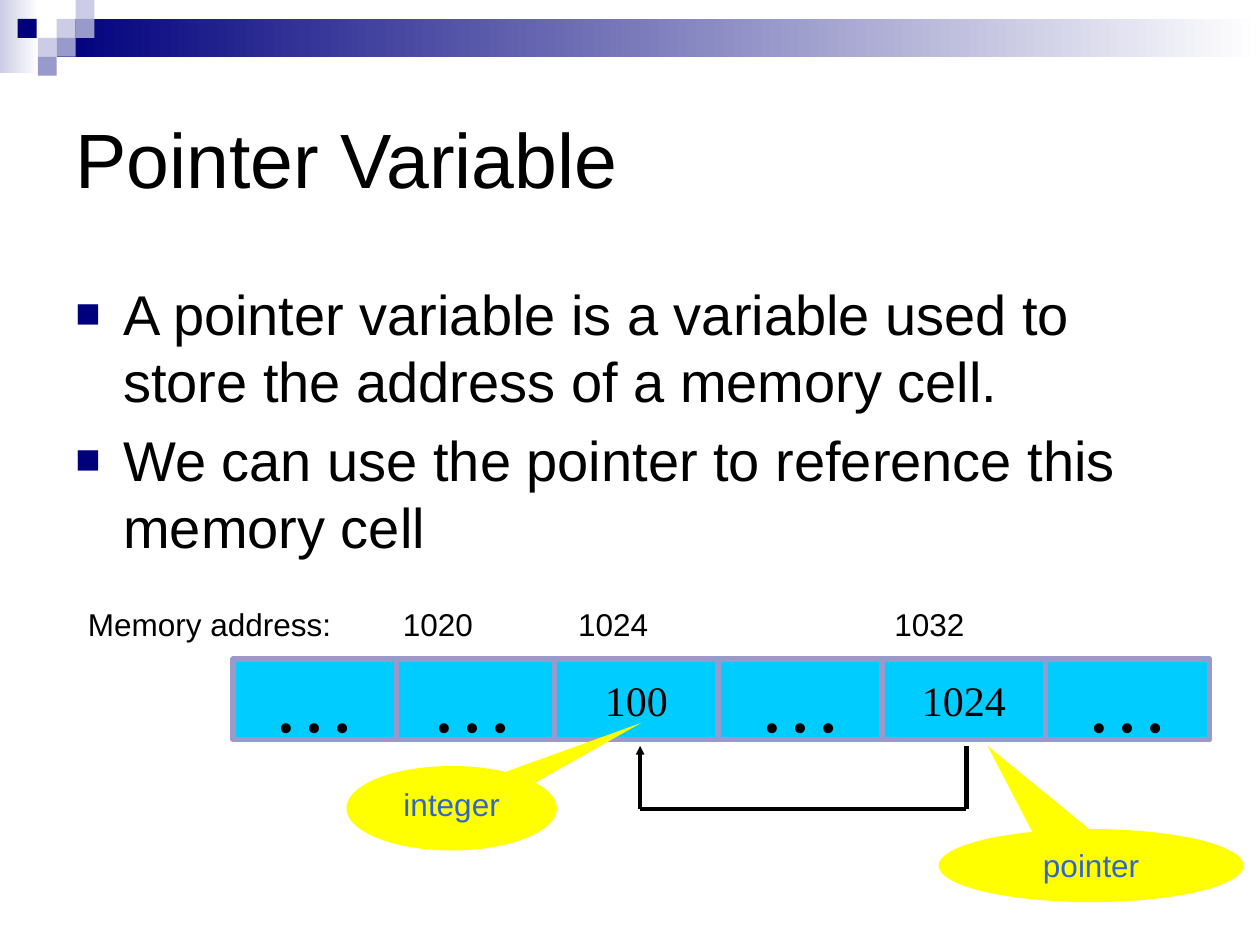
import pptx
import pptx.util
import pptx.dml.color
import pptx.enum.shapes
import pptx.enum.text
import pptx.oxml
import pptx.oxml.ns
from lxml import etree

Inches = pptx.util.Inches
Pt = pptx.util.Pt
SHAPES = pptx.enum.shapes.MSO_SHAPE
ANCHOR = pptx.enum.text.MSO_ANCHOR
ALIGN = pptx.enum.text.PP_ALIGN

COLORS = {
    "navy": "00007D",
    "lilac": "9999CC",
    "pale": "CCCCE6",
    "white": "FFFFFF",
    "black": "000000",
    "cell": "00CCFF",
    "callout": "FFFF00",
    "callout_text": "3366CC",
}
HANG = 0.38
CELL_TOP, CELL_WIDTH, CELL_HEIGHT = 5.23, 1.3, 0.64


def rgb(name):
    return pptx.dml.color.RGBColor.from_string(COLORS[name])


def add_child(parent, tag, **attributes):
    child = etree.SubElement(parent, pptx.oxml.ns.qn(tag))
    for key, value in attributes.items():
        child.set(key, value)
    return child


def style_font(paragraph, size, color="black", name="Arial"):
    for run in paragraph.runs:
        run.font.size = Pt(size)
        run.font.name = name
        run.font.color.rgb = rgb(color)


def set_hanging(paragraph):
    properties = paragraph._p.get_or_add_pPr()
    properties.set("marL", str(Inches(HANG)))
    properties.set("indent", str(-Inches(HANG)))
    return properties


def add_filled_shape(slide, kind, left, top, width, height, *colors):
    """Add a shape without outline; two colours make a gradient."""
    shape = slide.shapes.add_shape(
        kind, Inches(left), Inches(top), Inches(width), Inches(height))
    shape.shadow.inherit = False
    shape.line.fill.background()
    if len(colors) == 1:
        shape.fill.solid()
        shape.fill.fore_color.rgb = rgb(colors[0])
    else:
        shape.fill.gradient()
        shape.fill.gradient_angle = 0
        for stop, color in zip(shape.fill.gradient_stops, colors):
            stop.color.rgb = rgb(color)
    return shape


def add_header(slide):
    add_filled_shape(slide, SHAPES.RECTANGLE, 0, 0, 0.31, 0.58, "pale", "white")
    add_filled_shape(slide, SHAPES.RECTANGLE, 0.45, 0.15, 9.55, 0.3, "navy", "white")
    squares = [(0.45, 0.15, "pale"), (0.6, 0, "pale"), (0.6, 0.15, "lilac"),
               (0.3, 0.3, "pale"), (0.14, 0.15, "navy"), (0.45, 0.3, "lilac"),
               (0.3, 0.45, "lilac")]
    for left, top, color in squares:
        add_filled_shape(slide, SHAPES.RECTANGLE, left, top, 0.15, 0.15, color)


def add_title(slide, text):
    title = slide.shapes.title
    title.left, title.top = Inches(0.5), Inches(0.5)
    title.width, title.height = Inches(9), Inches(1.5)
    title.text_frame.text = text
    title.text_frame.vertical_anchor = ANCHOR.MIDDLE
    paragraph = title.text_frame.paragraphs[0]
    paragraph.alignment = ALIGN.LEFT
    style_font(paragraph, 44)


def add_bullets(slide, items):
    box = slide.shapes.add_textbox(Inches(0.5), Inches(2.17), Inches(9), Inches(4.25))
    frame = box.text_frame
    frame.word_wrap = True
    frame.text = "\n".join(items)
    for index, paragraph in enumerate(frame.paragraphs):
        if index:
            paragraph.space_before = Pt(6.4)
        properties = set_hanging(paragraph)
        bullet_color = add_child(properties, "a:buClr")
        add_child(bullet_color, "a:srgbClr", val=COLORS["navy"])
        add_child(properties, "a:buSzPct", val="75000")
        add_child(properties, "a:buFont", typeface="Arial")
        add_child(properties, "a:buChar", char="■")
        style_font(paragraph, 32)


def add_label(slide, text, left, width):
    box = slide.shapes.add_textbox(
        Inches(left), Inches(4.75), Inches(width), Inches(0.43))
    box.text_frame.word_wrap = True
    box.text_frame.text = text
    paragraph = box.text_frame.paragraphs[0]
    set_hanging(paragraph)
    style_font(paragraph, 18)


def add_cell(slide, left, text):
    cell = add_filled_shape(slide, SHAPES.RECTANGLE, left, CELL_TOP,
                            CELL_WIDTH, CELL_HEIGHT, "cell")
    cell.line.color.rgb = rgb("lilac")
    cell.line.width = Pt(3)
    frame = cell.text_frame
    frame.word_wrap = False
    frame.vertical_anchor = ANCHOR.MIDDLE
    frame.text = text
    paragraph = frame.paragraphs[0]
    paragraph.alignment = ALIGN.CENTER
    style_font(paragraph, 48 if text == "…" else 24, name="Times New Roman")


def add_line(slide, start, end, arrow=False):
    line = slide.shapes.add_connector(
        pptx.enum.shapes.MSO_CONNECTOR.STRAIGHT,
        *(Inches(value) for value in start + end))
    line.line.color.rgb = rgb("black")
    line.line.width = Pt(2.5)
    if arrow:
        add_child(line.line._get_or_add_ln(), "a:tailEnd",
                  type="triangle", w="sm", len="sm")
    add_child(line._element.spPr, "a:effectLst")


def add_callout(slide, text, left, top, width, height, tip):
    callout = add_filled_shape(slide, SHAPES.OVAL_CALLOUT, left, top,
                               width, height, "callout")
    callout.adjustments[0], callout.adjustments[1] = tip
    frame = callout.text_frame
    frame.word_wrap = True
    frame.vertical_anchor = ANCHOR.TOP
    frame.text = text
    paragraph = frame.paragraphs[0]
    paragraph.alignment = ALIGN.CENTER
    set_hanging(paragraph)
    style_font(paragraph, 18, "callout_text")


def main():
    presentation = pptx.Presentation()
    presentation.slide_width, presentation.slide_height = Inches(10), Inches(7.5)
    slide = presentation.slides.add_slide(presentation.slide_layouts[5])

    add_header(slide)
    add_title(slide, "Pointer Variable")
    add_bullets(slide, [
        "A pointer variable is a variable used to store the address of a memory cell.",
        "We can use the pointer to reference this memory cell",
    ])

    # Memory row: the leading cell slightly overlaps the regular ones
    for index, text in enumerate(["…", "100", "…", "1024", "…"]):
        add_cell(slide, 3.1 + index * CELL_WIDTH, text)
    add_cell(slide, 1.85, "…")
    for text, left, width in [("Memory address:", 0.6, 2.5), ("1020", 3.1, 1.06),
                              ("1024", 4.49, 1.06), ("1032", 7, 0.82)]:
        add_label(slide, text, left, width)

    # Reference from the pointer cell back to the integer cell
    target, source, upper, lower = 5.08, 7.67, 5.92, 6.42
    add_line(slide, (target, lower), (target, upper), arrow=True)
    add_line(slide, (target, lower), (source, lower))
    add_line(slide, (source, upper), (source, lower))

    # Callouts
    add_callout(slide, "integer", 2.75, 6.08, 1.67, 0.67, (0.9, -1.01))
    add_callout(slide, "pointer", 7.45, 6.58, 2.42, 0.58, (-0.34, -1.64))

    presentation.save("out.pptx")


if __name__ == "__main__":
    main()
